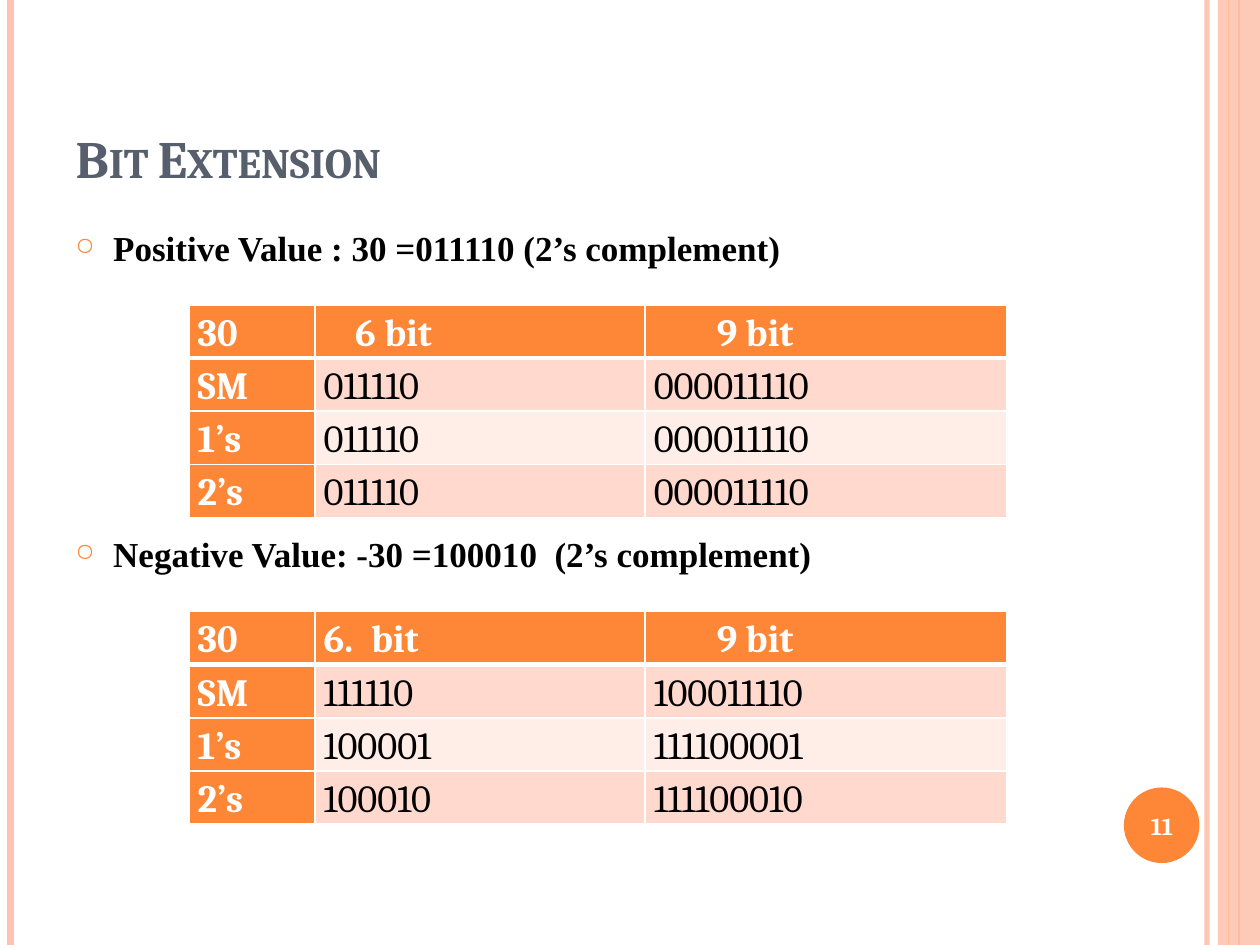
"""Build the bit extension slide with its two comparison tables."""

from dataclasses import dataclass

from lxml.etree import SubElement
from pptx import Presentation
from pptx.dml.color import RGBColor
from pptx.enum.shapes import MSO_CONNECTOR, MSO_SHAPE
from pptx.enum.text import MSO_ANCHOR, MSO_AUTO_SIZE, PP_ALIGN
from pptx.oxml.ns import qn
from pptx.util import Pt


@dataclass(frozen=True)
class Theme:
    accent: str = "FE8637"
    rail: str = "FEC3AE"
    title: str = "575F6D"
    ink: str = "000000"
    paper: str = "FFFFFF"
    bands: tuple[str, str] = ("FFD9CE", "FFEDE8")
    serif: str = "Cambria"
    bullet_serif: str = "Times New Roman"
    title_size: float = 30
    statement_size: float = 20
    table_size: float = 22
    number_size: float = 14


@dataclass(frozen=True)
class Rail:
    x: float
    width: float
    color: str
    opacity: int = 100


@dataclass(frozen=True)
class Section:
    statement: str
    statement_top: float
    table_top: float
    rows: tuple[tuple[str, str, str], ...]
    header_indent: float = 0
    header_number: int | None = None


THEME = Theme()
SLIDE_WIDTH, SLIDE_HEIGHT = 720, 540
CONTENT_LEFT, CONTENT_WIDTH = 36, 588
TABLE_LEFT, COLUMN_WIDTHS, ROW_HEIGHT = 108, (72, 188.6, 206.6), 29
RAILS = (
    Rail(689.8, 3, THEME.rail, 93),
    Rail(6, 4.5, THEME.rail),
    Rail(708, 1.5, THEME.accent),
    Rail(702, 0.75, THEME.accent),
)
EDGE_BAND = (696, 24)
SECTIONS = (
    Section(
        "Positive Value : 30 =011110 (2’s complement)", 126, 174.25,
        (("30", "6 bit", "9 bit"),
         ("SM", "011110", "000011110"),
         ("1’s", "011110", "000011110"),
         ("2’s", "011110", "000011110")),
        header_indent=18,
    ),
    Section(
        "Negative Value: -30 =100010  (2’s complement)", 301, 349.5,
        (("30", "bit", "9 bit"),
         ("SM", "111110", "100011110"),
         ("1’s", "100001", "111100001"),
         ("2’s", "100010", "111100010")),
        header_number=6,
    ),
)


def rgb(color: str) -> RGBColor:
    return RGBColor.from_string(color)


def set_opacity(element, percent: int) -> None:
    for color in element.iter(qn("a:srgbClr")):
        SubElement(color, qn("a:alpha"), val=str(percent * 1000))


def write_text(frame, text: str, *, size: float, color: str, font: str = THEME.serif,
               bold: bool = True, small_caps: bool = False, align=PP_ALIGN.LEFT,
               anchor=MSO_ANCHOR.TOP, indent: float = 0, hanging: float = 0,
               before: float = 0, spacing: float = 1.0, bullet: str | None = None,
               number: int | None = None) -> None:
    frame.word_wrap = True
    frame.vertical_anchor = anchor
    paragraph = frame.paragraphs[0]
    paragraph.alignment = align
    paragraph.space_before = Pt(before)
    paragraph.line_spacing = spacing
    run = paragraph.add_run()
    run.text = text
    run.font.name, run.font.size, run.font.bold = font, Pt(size), bold
    run.font.color.rgb = rgb(color)
    if small_caps:
        run.font.fill
        run.font.language_id = None
        paragraph.runs[0]._r.get_or_add_rPr().set("cap", "small")
    properties = paragraph._p.get_or_add_pPr()
    properties.set("marL", str(Pt(indent)))
    properties.set("indent", str(Pt(-hanging)))
    if bullet:
        bullet_color = SubElement(properties, qn("a:buClr"))
        SubElement(bullet_color, qn("a:srgbClr"), val=THEME.accent)
        SubElement(properties, qn("a:buSzPct"), val="70000")
        SubElement(properties, qn("a:buChar"), char=bullet)
    elif number is not None:
        SubElement(properties, qn("a:buAutoNum"), type="arabicPeriod", startAt=str(number))


def draw_rail(slide, rail: Rail) -> None:
    line = slide.shapes.add_connector(
        MSO_CONNECTOR.STRAIGHT, Pt(rail.x), Pt(0), Pt(rail.x), Pt(SLIDE_HEIGHT))
    line.line.color.rgb = rgb(rail.color)
    line.line.width = Pt(rail.width)
    SubElement(line.element.find(qn("p:spPr")), qn("a:effectLst"))
    if rail.opacity < 100:
        set_opacity(line.element, rail.opacity)


def draw_block(slide, preset, left: float, top: float, width: float, height: float,
               color: str):
    block = slide.shapes.add_shape(preset, Pt(left), Pt(top), Pt(width), Pt(height))
    block.shadow.inherit = False
    block.fill.solid()
    block.fill.fore_color.rgb = rgb(color)
    block.line.fill.background()
    return block


def add_text(slide, text: str, left: float, top: float, width: float, height: float,
             **text_format) -> None:
    box = slide.shapes.add_textbox(Pt(left), Pt(top), Pt(width), Pt(height))
    write_text(box.text_frame, text, **text_format)


def set_borders(cell, row: int) -> None:
    widths = {"lnL": 1, "lnR": 1, "lnT": 3 if row == 1 else 1, "lnB": 3 if row == 0 else 1}
    properties = cell._tc.get_or_add_tcPr()
    for side, width in widths.items():
        border = SubElement(properties, qn(f"a:{side}"), w=str(Pt(width)))
        fill = SubElement(border, qn("a:solidFill"))
        SubElement(fill, qn("a:srgbClr"), val=THEME.paper)


def header_format(section: Section, column: int) -> dict:
    if column == 2:
        return {"indent": 36}
    if column == 1 and section.header_number is not None:
        return {"indent": 27, "hanging": 27, "number": section.header_number}
    return {"indent": section.header_indent if column == 1 else 0}


def draw_table(slide, section: Section) -> None:
    table = slide.shapes.add_table(
        len(section.rows), len(COLUMN_WIDTHS), Pt(TABLE_LEFT), Pt(section.table_top),
        Pt(sum(COLUMN_WIDTHS)), Pt(ROW_HEIGHT * len(section.rows))).table
    for column, width in enumerate(COLUMN_WIDTHS):
        table.columns[column].width = Pt(width)
    for row, values in enumerate(section.rows):
        table.rows[row].height = Pt(ROW_HEIGHT)
        for column, value in enumerate(values):
            cell = table.cell(row, column)
            heading = row == 0 or column == 0
            cell.margin_left = cell.margin_right = Pt(5)
            cell.margin_top = cell.margin_bottom = Pt(0)
            set_borders(cell, row)
            cell.fill.solid()
            cell.fill.fore_color.rgb = rgb(THEME.accent if heading else THEME.bands[(row - 1) % 2])
            write_text(cell.text_frame, value, size=THEME.table_size, bold=heading,
                       color=THEME.paper if heading else THEME.ink, spacing=1.15,
                       **(header_format(section, column) if row == 0 else {}))


def main() -> None:
    deck = Presentation()
    deck.slide_width, deck.slide_height = Pt(SLIDE_WIDTH), Pt(SLIDE_HEIGHT)
    slide = deck.slides.add_slide(deck.slide_layouts[5])
    for rail in RAILS:
        draw_rail(slide, rail)
    band_left, band_width = EDGE_BAND
    edge = draw_block(slide, MSO_SHAPE.RECTANGLE, band_left, 0, band_width, SLIDE_HEIGHT, THEME.rail)
    set_opacity(edge.element, 87)
    draw_block(slide, MSO_SHAPE.OVAL, 642.25, 450, 43.2, 43.2, THEME.accent)
    add_text(slide, "11", 640, 451.5, 48, 41, size=THEME.number_size, color=THEME.paper,
             align=PP_ALIGN.CENTER, anchor=MSO_ANCHOR.MIDDLE)

    title = slide.shapes.title
    title.left, title.top = Pt(CONTENT_LEFT), Pt(21.6)
    title.width, title.height = Pt(CONTENT_WIDTH), Pt(90)
    title.text_frame.auto_size = MSO_AUTO_SIZE.NONE
    write_text(title.text_frame, "Bit Extension", size=THEME.title_size, color=THEME.title,
               small_caps=True, anchor=MSO_ANCHOR.BOTTOM)

    for section in SECTIONS:
        add_text(slide, section.statement, CONTENT_LEFT, section.statement_top, CONTENT_WIDTH, 36,
                 size=THEME.statement_size, color=THEME.ink, font=THEME.bullet_serif,
                 indent=21.6, hanging=21.6, before=6, bullet="○")
        draw_table(slide, section)
    deck.save("out.pptx")


if __name__ == "__main__":
    main()
